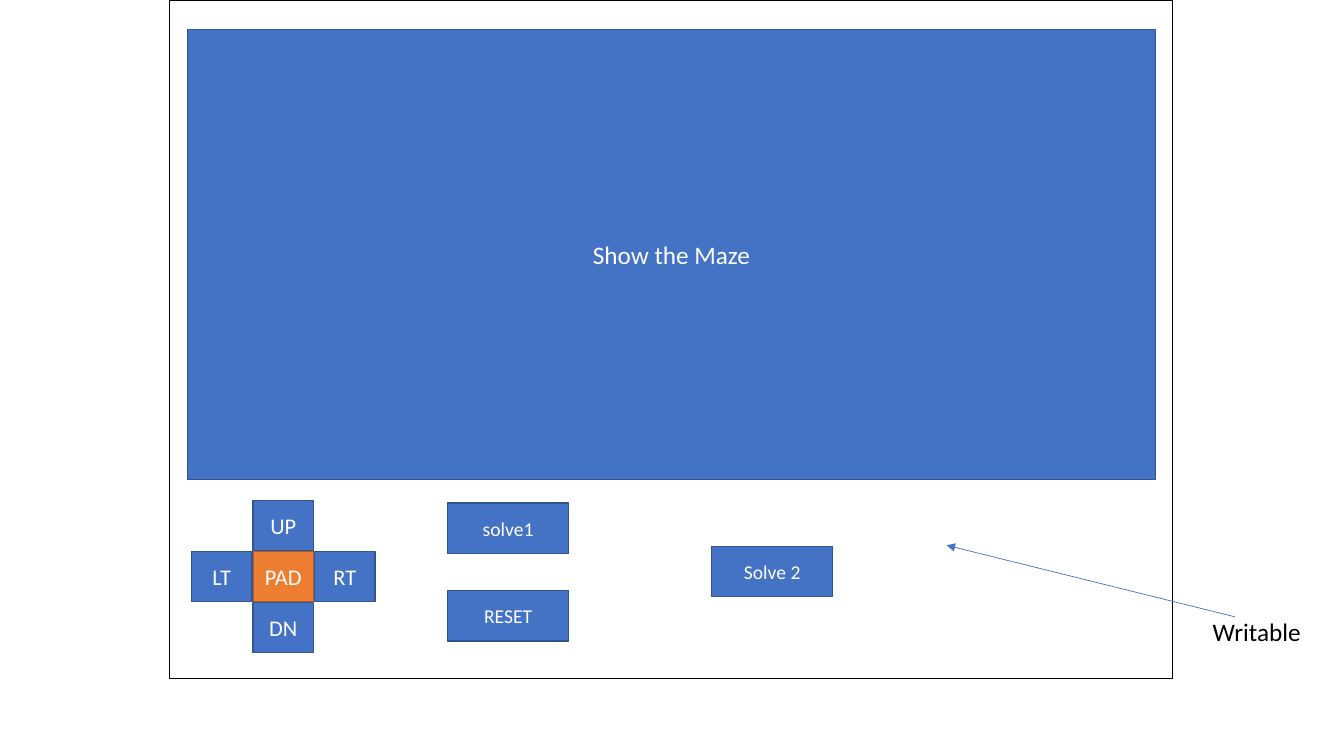
import pptx
import pptx.util
import pptx.dml.color
import pptx.enum.shapes
import pptx.enum.text
import pptx.oxml.ns
import lxml.etree

Inches = pptx.util.Inches
Pt = pptx.util.Pt
RGBColor = pptx.dml.color.RGBColor
qn = pptx.oxml.ns.qn

WHITE = RGBColor(0xFF, 0xFF, 0xFF)
BLACK = RGBColor(0, 0, 0)
BLUE = RGBColor(0x44, 0x72, 0xC4)
NAVY = RGBColor(0x32, 0x54, 0x91)
ORANGE = RGBColor(0xED, 0x7D, 0x31)
BROWN = RGBColor(0xAF, 0x5C, 0x24)
FONT = "Calibri"

FRAME = (1.68, 0, 9.95, 6.73)
MAZE = ("Show the Maze", (1.86, 0.29, 9.6, 4.47))
PAD = [
    ("DN", 0, 1, BLUE, NAVY),
    ("PAD", 0, 0, ORANGE, BROWN),
    ("LT", -1, 0, BLUE, NAVY),
    ("UP", 0, -1, BLUE, NAVY),
    ("RT", 1, 0, BLUE, NAVY),
]
BUTTONS = [("RESET", 4.44, 5.86), ("solve1", 4.44, 4.99), ("Solve 2", 7.06, 5.42)]
NOTE = ("Writable", (11.93, 6.07, 1.4, 0.4))
ARROW = (12.25, 6.12, 9.39, 5.41)

PAD_X, PAD_Y = 2.51, 5.47
KEY_W, KEY_H = 0.6, 0.5
STEP_X, STEP_Y = 0.61, 0.505
BTN_W = 1.2

deck = pptx.Presentation()
deck.slide_width, deck.slide_height = Inches(13.33), Inches(7.5)
slide = deck.slides.add_slide(deck.slide_layouts[6])
shapes = slide.shapes


def write(shape, text, size, color):
    para = shape.text_frame.paragraphs[0]
    para.text = text
    para.font.name = FONT
    para.font.size = Pt(size)
    para.font.color.rgb = color
    return para


def add_box(place, fill, line, text="", size=18):
    box = shapes.add_shape(
        pptx.enum.shapes.MSO_SHAPE.RECTANGLE, *map(Inches, place))
    box.shadow.inherit = False
    box.fill.solid()
    box.fill.fore_color.rgb = fill
    box.line.color.rgb = line
    box.line.width = Pt(1)
    if text:
        frame = box.text_frame
        frame.word_wrap = True
        frame.vertical_anchor = pptx.enum.text.MSO_ANCHOR.MIDDLE
        para = write(box, text, size, WHITE)
        para.alignment = pptx.enum.text.PP_ALIGN.CENTER


add_box(FRAME, WHITE, BLACK)
add_box(MAZE[1], BLUE, NAVY, MAZE[0])
for text, col, row, fill, line in PAD:
    place = (PAD_X + col * STEP_X, PAD_Y + row * STEP_Y, KEY_W, KEY_H)
    add_box(place, fill, line, text, 16)
for text, left, top in BUTTONS:
    add_box((left, top, BTN_W, KEY_H), BLUE, NAVY, text, 14)

arrow = shapes.add_connector(
    pptx.enum.shapes.MSO_CONNECTOR.STRAIGHT, *map(Inches, ARROW))
arrow.line.color.rgb = BLUE
arrow.line.width = Pt(0.5)
lxml.etree.SubElement(arrow.line._get_or_add_ln(), qn("a:tailEnd"), type="triangle")
lxml.etree.SubElement(arrow._element.spPr, qn("a:effectLst"))

note = shapes.add_textbox(*map(Inches, NOTE[1]))
note.text_frame.word_wrap = True
note.text_frame.auto_size = pptx.enum.text.MSO_AUTO_SIZE.SHAPE_TO_FIT_TEXT
write(note, NOTE[0], 18, BLACK)

deck.save("out.pptx")
